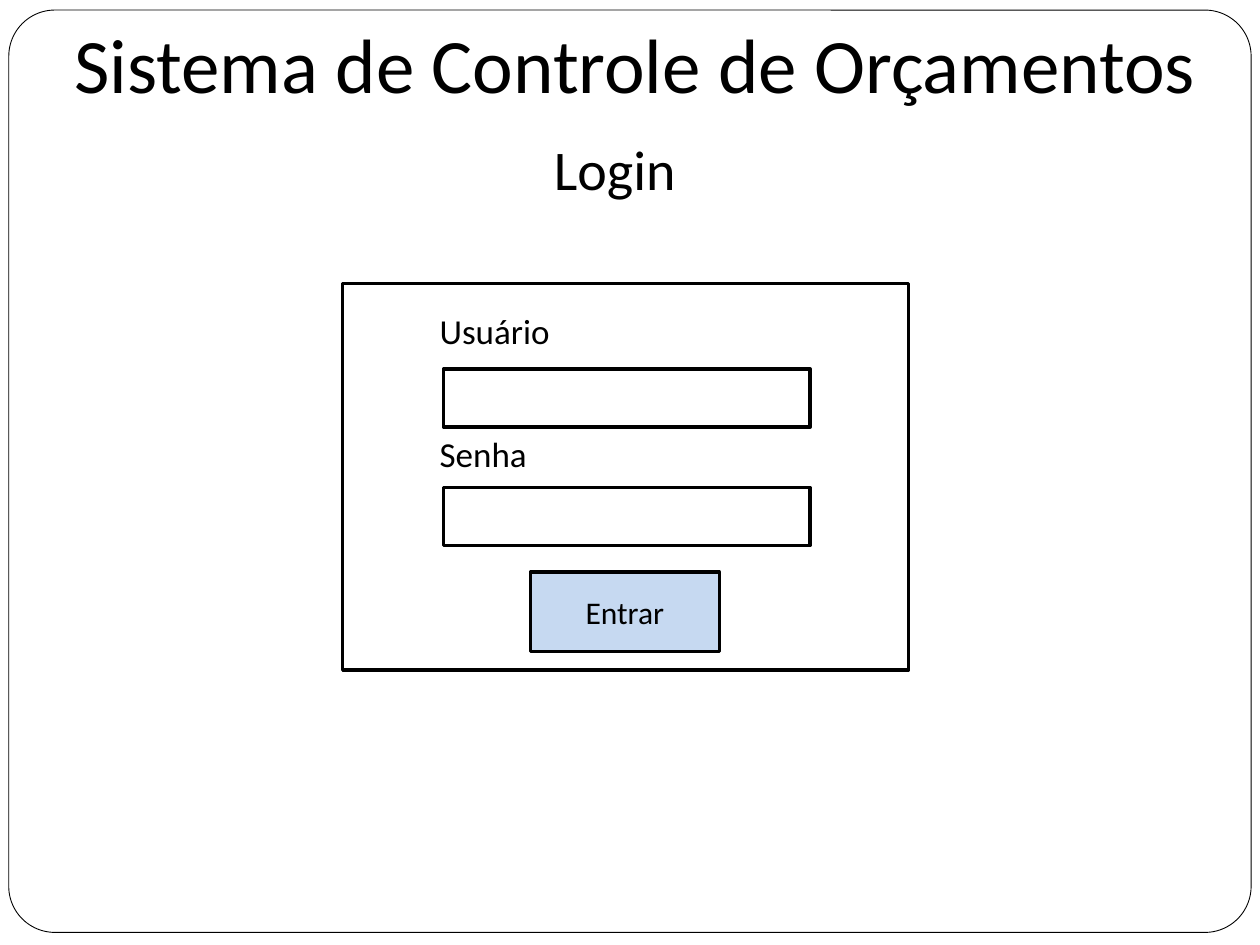
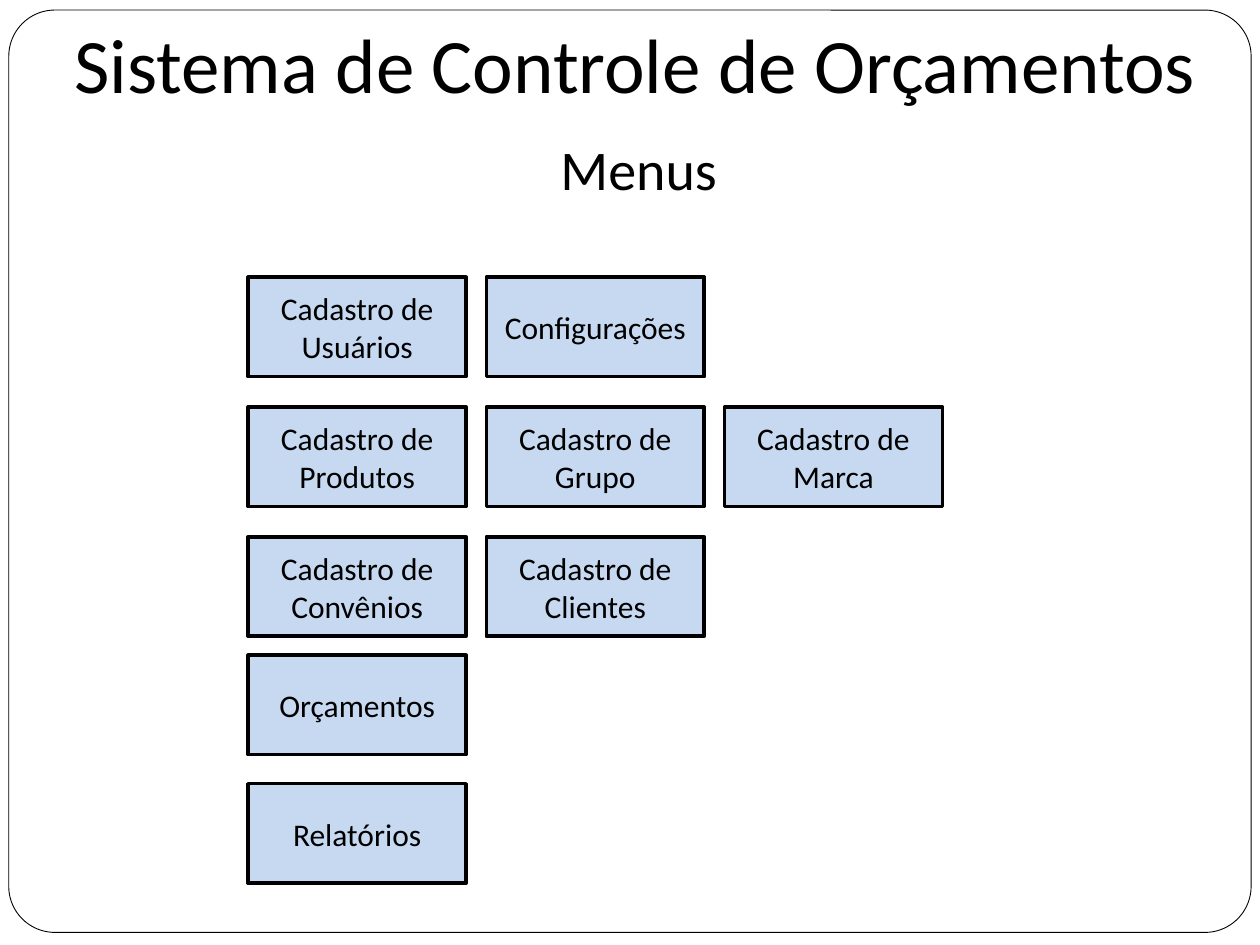
"""Builds two screen sketches of a budget control system: login and menus."""
from pptx import Presentation
from pptx.dml.color import RGBColor
from pptx.enum.shapes import MSO_SHAPE
from pptx.enum.text import MSO_ANCHOR, PP_ALIGN
from pptx.util import Inches, Pt

BLACK = RGBColor(0x00, 0x00, 0x00)
WHITE = RGBColor(0xFF, 0xFF, 0xFF)
BUTTON_BLUE = RGBColor(0xC6, 0xD9, 0xF1)
FONT = "Calibri"
SYSTEM_NAME = "Sistema de Controle de Orçamentos"

MENU_LEFT, MENU_STEP = 1.97, 1.89
MENU_WIDTH, MENU_HEIGHT = 1.73, 0.79
MENU_ROWS = [
    (2.2, ["Cadastro de Usuários", "Configurações"]),
    (3.23, ["Cadastro de Produtos", "Cadastro de Grupo", "Cadastro de Marca"]),
    (4.26, ["Cadastro de Convênios", "Cadastro de Clientes"]),
    (5.2, ["Orçamentos"]),
    (6.22, ["Relatórios"]),
]


def write(shape, text, size, align, anchor):
    frame = shape.text_frame
    frame.word_wrap = True
    frame.vertical_anchor = anchor
    paragraph = frame.paragraphs[0]
    paragraph.alignment = align
    run = paragraph.add_run()
    run.text = text
    run.font.name = FONT
    run.font.size = Pt(size)
    run.font.color.rgb = BLACK


def add_label(slide, text, left, top, width, height, size, align=PP_ALIGN.LEFT):
    box = slide.shapes.add_textbox(Inches(left), Inches(top), Inches(width), Inches(height))
    write(box, text, size, align, MSO_ANCHOR.TOP)


def add_box(slide, left, top, width, height, fill=WHITE, line=2, kind=MSO_SHAPE.RECTANGLE):
    box = slide.shapes.add_shape(kind, Inches(left), Inches(top), Inches(width), Inches(height))
    box.shadow.inherit = False
    box.fill.solid()
    box.fill.fore_color.rgb = fill
    box.line.color.rgb = BLACK
    box.line.width = Pt(line)
    return box


def add_button(slide, text, left, top, width, height):
    button = add_box(slide, left, top, width, height, BUTTON_BLUE)
    write(button, text, 18, PP_ALIGN.CENTER, MSO_ANCHOR.MIDDLE)


def add_field(slide, name, label_top, field_top):
    add_label(slide, name, 3.39, label_top, 3.11, 0.37, 20)
    add_box(slide, 3.52, field_top, 2.91, 0.46)


def add_screen(prs, name, name_left):
    slide = prs.slides.add_slide(prs.slide_layouts[6])
    border = add_box(slide, 0.07, 0.08, 9.86, 7.32, line=0.5, kind=MSO_SHAPE.ROUNDED_RECTANGLE)
    border.adjustments[0] = 0.05
    add_label(slide, SYSTEM_NAME, 0.28, 0.08, 9.53, 0.52, 44, PP_ALIGN.CENTER)
    add_label(slide, name, name_left, 1.02, 7, 0.52, 32, PP_ALIGN.CENTER)
    return slide


def build_login(prs):
    slide = add_screen(prs, "Login", 1.38)
    add_box(slide, 2.72, 2.25, 4.49, 3.07)
    add_field(slide, "Usuário", 2.41, 2.93)
    add_field(slide, "Senha", 3.38, 3.87)
    add_button(slide, "Entrar", 4.21, 4.54, 1.5, 0.63)


def build_menus(prs):
    slide = add_screen(prs, "Menus", 1.57)
    for top, names in MENU_ROWS:
        for column, name in enumerate(names):
            add_button(slide, name, MENU_LEFT + column * MENU_STEP, top, MENU_WIDTH, MENU_HEIGHT)


def main():
    prs = Presentation()
    prs.slide_width = Inches(10)
    prs.slide_height = Inches(7.5)
    build_login(prs)
    build_menus(prs)
    prs.save("out.pptx")


main()
